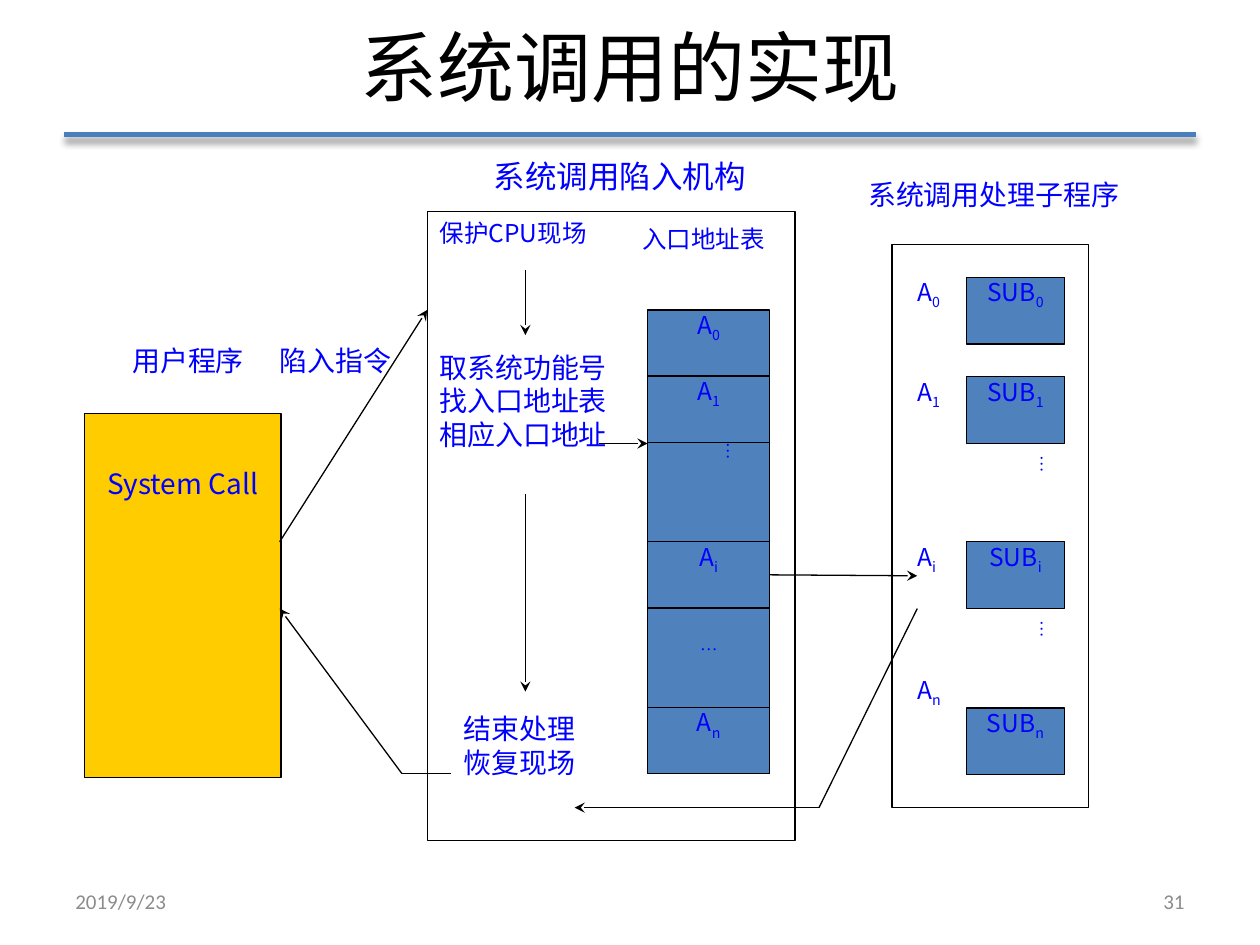
from lxml.etree import SubElement
from pptx import Presentation
from pptx.dml.color import RGBColor
from pptx.enum.shapes import MSO_CONNECTOR, MSO_SHAPE
from pptx.enum.text import MSO_ANCHOR as ANCHOR, PP_ALIGN as ALIGN
from pptx.oxml.ns import qn
from pptx.util import Inches, Pt

COLORS = {"text": "0000FF", "title": "000000", "line": "000000", "rule": "4B7EBC",
          "user": "FFCC00", "cell": "4F81BD", "footer": "8C8C8C"}
CJK, LATIN, DOTS = "Noto Sans CJK JP", "Calibri", "Times New Roman"
PADDED = (0.1, 0.05, 0.1, 0.05)
FLUSH = (0, 0, 0, 0)

prs = Presentation()
prs.slide_width, prs.slide_height = Inches(10), Inches(7.5)
slide = prs.slides.add_slide(prs.slide_layouts[6])
shapes = slide.shapes


def add_text(text, x, y, w, h, boxed=False, fill=None, size=16, font=CJK, color="text",
             align=ALIGN.LEFT, anchor=ANCHOR.TOP, insets=FLUSH, vertical=False):
    """Add a text box or an outlined rectangle; "_" starts a subscript."""
    place = [Inches(v) for v in (x, y, w, h)]
    if boxed:
        box = shapes.add_shape(MSO_SHAPE.RECTANGLE, *place)
        box.shadow.inherit = False
        box.line.color.rgb = RGBColor.from_string(COLORS["line"])
        box.line.width = Pt(0.75)
        if fill:
            box.fill.solid()
            box.fill.fore_color.rgb = RGBColor.from_string(COLORS[fill])
        else:
            box.fill.background()
    else:
        box = shapes.add_textbox(*place)
    frame = box.text_frame
    frame.word_wrap = True
    frame.vertical_anchor = anchor
    (frame.margin_left, frame.margin_top,
     frame.margin_right, frame.margin_bottom) = [Inches(v) for v in insets]
    if vertical:
        frame._txBody.bodyPr.set("vert", "eaVert")
    for i, row in enumerate(text.split("\n") if text else []):
        paragraph = frame.add_paragraph() if i else frame.paragraphs[0]
        paragraph.alignment = align
        for j, part in enumerate(row.split("_")):
            run = paragraph.add_run()
            run.text = part
            run.font.size = Pt(size)
            run.font.color.rgb = RGBColor.from_string(COLORS[color])
            run.font.name = font
            props = run._r.get_or_add_rPr()
            SubElement(props, qn("a:ea")).set("typeface", font)
            if j:
                props.set("baseline", "-25000")
    return box


def add_line(x1, y1, x2, y2, arrow=True, color="line", width=0.75):
    line = shapes.add_connector(MSO_CONNECTOR.STRAIGHT, *[Inches(v) for v in (x1, y1, x2, y2)])
    line.line.color.rgb = RGBColor.from_string(COLORS[color])
    line.line.width = Pt(width)
    if arrow:
        SubElement(line.line._get_or_add_ln(), qn("a:tailEnd")).set("type", "stealth")
    SubElement(line._element.spPr, qn("a:effectLst"))
    return line


# Title with its shadowed rule
rule = add_line(0.51, 1.07, 9.49, 1.07, arrow=False, color="rule", width=3)
shadow = SubElement(rule._element.spPr.find(qn("a:effectLst")), qn("a:outerShdw"),
                    blurRad=str(Pt(4)), dist=str(Pt(3)), dir="5400000", rotWithShape="0")
shade = SubElement(shadow, qn("a:srgbClr"), val="000000")
SubElement(shade, qn("a:alpha"), val="40000")
add_text("系统调用的实现", 0.5, -0.03, 9, 1.1, size=44, color="title",
         align=ALIGN.CENTER, anchor=ANCHOR.MIDDLE, insets=PADDED)

# User program
add_text("System Call", 0.67, 3.28, 1.56, 2.89, boxed=True, fill="user",
         align=ALIGN.CENTER, insets=(0.1, 0.42, 0.1, 0.05))
add_text("用户程序", 1.05, 2.73, 0.97, 0.52)

# Subroutines: index, top of its label, top of its box
for index, label_top, box_top in (("0", 2.2, 2.2), ("1", 2.99, 2.99),
                                  ("i", 4.3, 4.3), ("n", 5.36, 5.62)):
    add_text(f"A_{index}", 7.28, label_top, 0.39, 0.53, size=14)
    add_text(f"SUB_{index}", 7.67, box_top, 0.78, 0.53, boxed=True, fill="cell",
             size=14, align=ALIGN.CENTER)
for top in (3.52, 4.83):
    add_text("…", 7.67, top, 0.78, 0.79, size=10, font=DOTS, insets=PADDED, vertical=True)
add_text("", 7.08, 1.94, 1.56, 4.47, boxed=True)
add_text("系统调用处理子程序", 6.89, 1.41, 2.11, 0.53)

# Steps of the trap mechanism
add_text("保护CPU现场", 3.39, 1.68, 1.56, 0.84, size=14, insets=PADDED)
add_line(4.17, 2.14, 4.17, 2.66)
add_text("取系统功能号\n找入口地址表\n相应入口地址", 3.39, 2.73, 1.56, 1.19, insets=PADDED)
add_line(4.17, 3.92, 4.17, 5.49)
add_text("结束处理\n恢复现场", 3.58, 5.6, 1.17, 0.89, insets=PADDED)
add_line(4.75, 3.52, 5.14, 3.52)

# Entry address table, stacked from the top
entries = {}
top = 2.46
for entry in ("A_0", "A_1", "gap down", "A_i", "gap across", "A_n"):
    is_gap = entry.startswith("gap")
    height = 0.79 if is_gap else 0.525
    if entry == "gap down":
        style = dict(size=10, font=DOTS, insets=(0, 0, 0.2, 0), vertical=True)
    elif is_gap:
        style = dict(size=10, font=DOTS, insets=(0, 0.2, 0, 0), align=ALIGN.CENTER)
    else:
        style = dict(size=14, align=ALIGN.CENTER)
    entries[entry] = add_text("…" if is_gap else entry, 5.14, top, 0.97, height,
                              boxed=True, fill="cell", **style)
    top += height

# Frame and headings of the trap mechanism
add_text("", 3.39, 1.68, 2.92, 4.99, boxed=True)
add_text("系统调用陷入机构", 3.92, 1.25, 2.08, 0.3, size=18)
add_text("入口地址表", 5, 1.73, 1.25, 0.49, size=14, insets=PADDED)

# Call into the mechanism, jump to the subroutine, and the way back
add_line(2.22, 4.3, 3.39, 2.46)
add_text("陷入指令", 2.22, 2.73, 0.97, 0.52)
add_line(6.11, 4.57, 7.28, 4.57).begin_connect(entries["A_i"], 3)
add_line(7.28, 4.83, 6.5, 6.41, arrow=False)
add_line(6.5, 6.41, 4.56, 6.41)
add_line(3.58, 6.14, 3.19, 6.14, arrow=False)
add_line(3.19, 6.14, 2.22, 4.83)

# Footer
for text, left, align in (("2019/9/23", 0.5, ALIGN.LEFT), ("31", 7.17, ALIGN.RIGHT)):
    add_text(text, left, 6.95, 2.33, 0.4, size=12, font=LATIN, color="footer",
             align=align, anchor=ANCHOR.MIDDLE, insets=PADDED)

prs.save("out.pptx")
